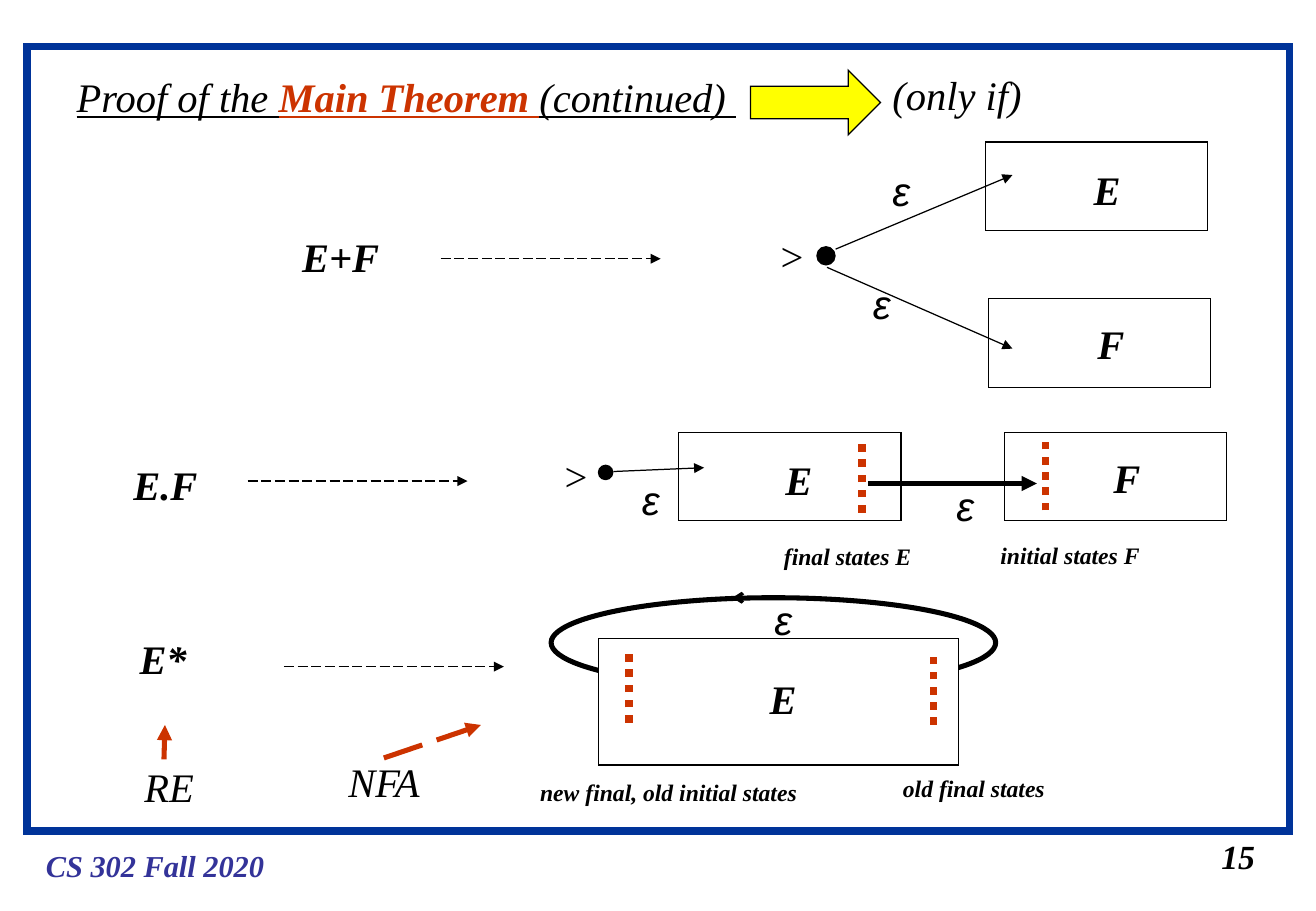
"""Build the slide on automata for E+F, E.F and E* in the proof of the main theorem."""
from dataclasses import dataclass
from typing import Optional

import pptx
import pptx.dml.color
import pptx.enum.dml
import pptx.enum.shapes
import pptx.enum.text
import pptx.oxml
import pptx.oxml.ns
import pptx.util
from lxml import etree

Cm = pptx.util.Cm
Pt = pptx.util.Pt
qn = pptx.oxml.ns.qn
SHAPE = pptx.enum.shapes.MSO_SHAPE
DASH = pptx.enum.dml.MSO_LINE
AUTO_SIZE = pptx.enum.text.MSO_AUTO_SIZE
COLORS = {"black": "000000", "white": "FFFFFF", "red": "CC3300",
          "yellow": "FFFF00", "frame": "003399", "footer": "333399"}
SERIF, SANS = "Times New Roman", "Arial"
TEXT_HEIGHTS = {24: 1.27, 20: 1.12, 18: 1.02, 14: 0.86}
BOX_W, BOX_H = 4.65, 1.85
DASHED_LENGTH = 4.6


@dataclass
class Label:
    text: str
    x: float
    y: float
    w: float
    size: int = 24
    bold: bool = True
    face: str = SERIF
    color: str = "black"


@dataclass
class Figure:
    kind: SHAPE
    x: float
    y: float
    w: float
    h: float
    fill: Optional[str] = None
    line: str = "black"
    weight: float = 0.75


@dataclass
class Link:
    x1: float
    y1: float
    x2: float
    y2: float
    weight: float = 0.75
    color: str = "black"
    dash: Optional[DASH] = None
    head: Optional[str] = "triangle"


def state_box(x: float, y: float) -> Figure:
    return Figure(SHAPE.RECTANGLE, x, y, BOX_W, BOX_H)


def start_dot(x: float, y: float, d: float) -> Figure:
    return Figure(SHAPE.OVAL, x, y, d, d, "black")


def epsilon(x: float, y: float) -> Label:
    return Label("ε", x, y, 0.86, bold=False, face=SANS)


def letter(text: str, x: float, y: float) -> Label:
    return Label(text, x, y, 1.07)


def caption(text: str, x: float, y: float, w: float) -> Label:
    return Label(text, x, y, w, size=14)


def becomes(x: float, y: float) -> Link:
    return Link(x, y, x + DASHED_LENGTH, y, dash=DASH.LONG_DASH)


def pointer(x1: float, y1: float, x2: float, y2: float) -> Link:
    return Link(x1, y1, x2, y2, 3, "red", DASH.LONG_DASH)


def states(x: float, bottom: float, top: float) -> Link:
    return Link(x, bottom, x, top, 4.5, "red", DASH.ROUND_DOT, None)


FIGURES = [
    Figure(SHAPE.RECTANGLE, 0.56, 0.97, 26.42, 16.41, line="frame", weight=4.5),
    Figure(SHAPE.RIGHT_ARROW, 15.7, 1.47, 2.72, 1.35, "yellow"),
    start_dot(17.09, 5.16, 0.38), state_box(20.62, 2.97), state_box(20.68, 6.25),
    start_dot(12.52, 9.73, 0.3), state_box(14.2, 9.04), state_box(21.01, 9.04),
    Figure(SHAPE.OVAL, 11.53, 12.5, 9.3, 1.88, weight=3),
    Figure(SHAPE.RECTANGLE, 12.52, 13.36, 7.54, 2.64, "white"),
]
LINKS = [
    becomes(9.22, 5.41), becomes(5.18, 10.06), becomes(5.94, 13.94),
    pointer(3.43, 15.88, 3.45, 15.16), pointer(8.03, 15.85, 10.06, 15.16),
    Link(17.48, 5.21, 21.18, 3.66), Link(17.3, 5.59, 21.18, 7.29),
    Link(12.83, 9.86, 14.73, 9.78), Link(18.16, 10.11, 21.69, 10.11, 3),
    states(18.03, 10.72, 9.25), states(21.87, 10.67, 9.12),
    states(19.53, 15.16, 13.69), states(13.16, 15.11, 13.64),
    Link(15.98, 12.5, 15.32, 12.5, 2, head="arrow"),
]
LABELS = [
    Label("CS 302 Fall 2020", 0.71, 17.6, 5.08, size=18, color="footer"),
    Label("15", 25.3, 17.35, 1.22, size=20),
    Label("(only if)", 18.42, 1.35, 3.3, bold=False),
    Label("E+F", 6.07, 4.72, 2.26),
    Label("E.F", 2.54, 9.5, 1.85),
    Label("E*", 2.67, 13.13, 1.5),
    Label("RE", 2.77, 15.8, 1.6, bold=False),
    Label("NFA", 7.04, 15.7, 2.11, bold=False),
    Label(">", 16.03, 4.7, 1.07, bold=False),
    Label(">", 11.51, 9.3, 1.02, bold=False),
    letter("E", 22.63, 3.33), letter("F", 22.71, 6.55),
    letter("E", 16.18, 9.4), letter("F", 23.04, 9.35), letter("E", 15.85, 13.97),
    epsilon(18.42, 3.35), epsilon(18.01, 5.72), epsilon(13.18, 9.8),
    epsilon(19.76, 9.93), epsilon(15.95, 12.32),
    caption("final states E", 16.15, 11.2, 3.18),
    caption("initial states F", 20.68, 11.18, 3.43),
    caption("new final, old initial states", 11.05, 16.15, 5.99),
    caption("old final states", 18.64, 16.05, 3.48),
]
TITLE_RUNS = [("Proof of the ", "black", False), ("Main Theorem ", "red", True),
              ("(continued) ", "black", False)]


def rgb(name: str) -> pptx.dml.color.RGBColor:
    return pptx.dml.color.RGBColor.from_string(COLORS[name])


def set_font(font, face: str, size: int) -> None:
    font.name, font.size, font.italic = face, Pt(size), True


def set_title(s) -> None:
    sp = s.shapes.title
    sp.left, sp.top, sp.width, sp.height = Cm(1.35), Cm(1.37), Cm(14.33), Cm(1.27)
    tf = sp.text_frame
    tf.word_wrap = False
    tf.auto_size = AUTO_SIZE.NONE
    tf.vertical_anchor = pptx.enum.text.MSO_ANCHOR.TOP
    p = tf.paragraphs[0]
    p.alignment = pptx.enum.text.PP_ALIGN.LEFT
    set_font(p.font, SERIF, 24)
    p.font.underline = True
    for text, color, bold in TITLE_RUNS:
        r = p.add_run()
        r.text, r.font.bold = text, bold
        r.font.color.rgb = rgb(color)


def draw_figure(s, f: Figure) -> None:
    sp = s.shapes.add_shape(f.kind, Cm(f.x), Cm(f.y), Cm(f.w), Cm(f.h))
    sp.shadow.inherit = False
    if f.fill:
        sp.fill.solid()
        sp.fill.fore_color.rgb = rgb(f.fill)
    else:
        sp.fill.background()
    sp.line.color.rgb = rgb(f.line)
    sp.line.width = Pt(f.weight)
    ln = sp._element.spPr.find(qn("a:ln"))
    etree.SubElement(ln, qn("a:miter"), lim="800000")


def draw_link(s, k: Link) -> None:
    sp = s.shapes.add_connector(pptx.enum.shapes.MSO_CONNECTOR.STRAIGHT,
                                Cm(k.x1), Cm(k.y1), Cm(k.x2), Cm(k.y2))
    sp.line.color.rgb = rgb(k.color)
    sp.line.width = Pt(k.weight)
    if k.dash:
        sp.line.dash_style = k.dash
    props = sp._element.spPr
    if k.head:
        etree.SubElement(props.find(qn("a:ln")), qn("a:tailEnd"), type=k.head)
    etree.SubElement(props, qn("a:effectLst"))


def draw_label(s, t: Label) -> None:
    sp = s.shapes.add_textbox(Cm(t.x), Cm(t.y), Cm(t.w), Cm(TEXT_HEIGHTS[t.size]))
    tf = sp.text_frame
    tf.word_wrap = False
    tf.auto_size = AUTO_SIZE.SHAPE_TO_FIT_TEXT
    p = tf.paragraphs[0]
    p.text = t.text
    set_font(p.font, t.face, t.size)
    p.font.bold = t.bold
    p.font.color.rgb = rgb(t.color)


def main() -> None:
    prs = pptx.Presentation()
    prs.slide_width, prs.slide_height = Cm(27.53), Cm(19.05)
    s = prs.slides.add_slide(prs.slide_layouts.get_by_name("Title Only"))
    set_title(s)
    for draw, items in ((draw_figure, FIGURES), (draw_link, LINKS), (draw_label, LABELS)):
        for item in items:
            draw(s, item)
    prs.save("out.pptx")


if __name__ == "__main__":
    main()
